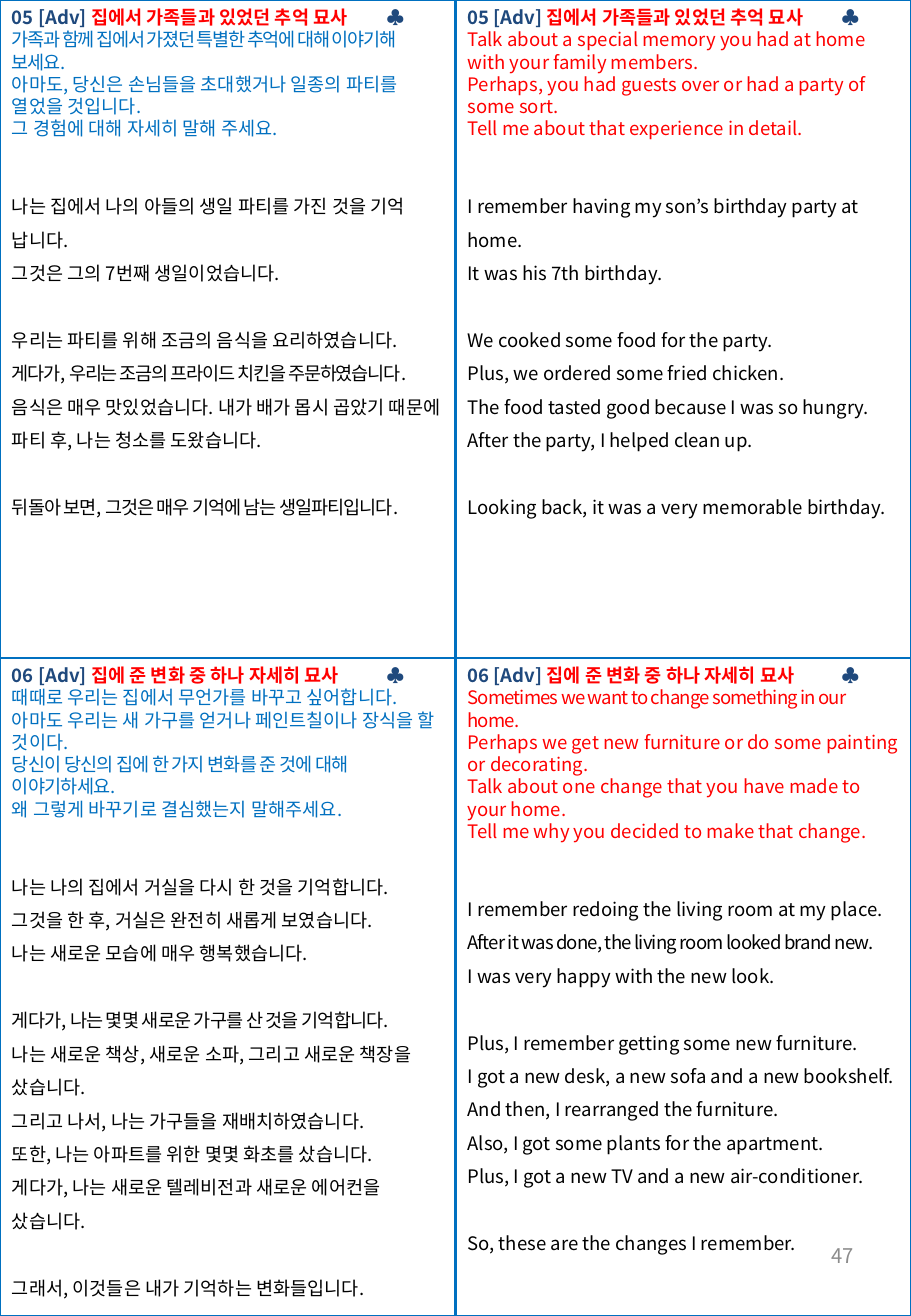
from lxml import etree
from pptx import Presentation
from pptx.dml.color import RGBColor
from pptx.enum.shapes import MSO_CONNECTOR, MSO_SHAPE
from pptx.enum.text import MSO_ANCHOR, MSO_AUTO_SIZE, PP_ALIGN
from pptx.oxml.ns import qn
from pptx.util import Pt

STRAIGHT = MSO_CONNECTOR.STRAIGHT
RECTANGLE = MSO_SHAPE.RECTANGLE
MIDDLE = MSO_ANCHOR.MIDDLE
GROW = MSO_AUTO_SIZE.SHAPE_TO_FIT_TEXT
RIGHT = PP_ALIGN.RIGHT

FONT = "Noto Sans CJK KR"
NAVY, BLUE, RED, BLACK, GREY = "1F497D", "0070C0", "FF0000", "000000", "8C8C8C"
WIDTH, HEIGHT = 540, 780
LINE = 13.2
CLUB_TAB = 222

MEMORY = ("05 [Adv] ", "집에서 가족들과 있었던 추억 묘사")
CHANGE = ("06 [Adv] ", "집에 준 변화 중 하나 자세히 묘사")

CARDS = [
    (MEMORY, BLUE, [
        ("가족과 함께 집에서 가졌던 특별한 추억에 대해 이야기해 보세요.", -0.8),
        "아마도, 당신은 손님들을 초대했거나 일종의 파티를 열었을 것입니다.",
        "그 경험에 대해 자세히 말해 주세요.",
    ], [
        ["나는 집에서 나의 아들의 생일 파티를 가진 것을 기억 납니다.",
         "그것은 그의 7번째 생일이었습니다."],
        ["우리는 파티를 위해 조금의 음식을 요리하였습니다.",
         ("게다가, 우리는 조금의 프라이드 치킨을 주문하였습니다.", -0.7),
         "음식은 매우 맛있었습니다. 내가 배가 몹시 곱았기 때문에",
         "파티 후, 나는 청소를 도왔습니다."],
        [("뒤돌아 보면, 그것은 매우 기억에 남는 생일파티입니다.", -0.6)],
    ]),
    (MEMORY, RED, [
        "Talk about a special memory you had at home with your family members.",
        "Perhaps, you had guests over or had a party of some sort.",
        "Tell me about that experience in detail.",
    ], [
        ["I remember having my son’s birthday party at home.",
         "It was his 7th birthday."],
        ["We cooked some food for the party.",
         "Plus, we ordered some fried chicken.",
         "The food tasted good because I was so hungry.",
         "After the party, I helped clean up."],
        ["Looking back, it was a very memorable birthday."],
    ]),
    (CHANGE, BLUE, [
        "때때로 우리는 집에서 무언가를 바꾸고 싶어합니다.",
        "아마도 우리는 새 가구를 얻거나 페인트칠이나 장식을 할 것이다.",
        ("당신이 당신의 집에 한 가지 변화를 준 것에 대해 이야기하세요.", -0.5),
        "왜 그렇게 바꾸기로 결심했는지 말해주세요.",
    ], [
        ["나는 나의 집에서 거실을 다시 한 것을 기억합니다.",
         "그것을 한 후, 거실은 완전히 새롭게 보였습니다.",
         "나는 새로운 모습에 매우 행복했습니다."],
        [("게다가, 나는 몇몇 새로운 가구를 산 것을 기억합니다.", -0.5),
         "나는 새로운 책상, 새로운 소파, 그리고 새로운 책장을 샀습니다.",
         "그리고 나서, 나는 가구들을 재배치하였습니다.",
         "또한, 나는 아파트를 위한 몇몇 화초를 샀습니다.",
         "게다가, 나는 새로운 텔레비전과 새로운 에어컨을 샀습니다."],
        ["그래서, 이것들은 내가 기억하는 변화들입니다."],
    ]),
    (CHANGE, RED, [
        ("Sometimes we want to change something in our home.", -0.5),
        "Perhaps we get new furniture or do some painting or decorating.",
        "Talk about one change that you have made to your home.",
        "Tell me why you decided to make that change.",
    ], [
        ["I remember redoing the living room at my place.",
         ("After it was done, the living room looked brand new.", -0.5),
         "I was very happy with the new look."],
        ["Plus, I remember getting some new furniture.",
         "I got a new desk, a new sofa and a new bookshelf.",
         "And then, I rearranged the furniture.",
         "Also, I got some plants for the apartment.",
         "Plus, I got a new TV and a new air-conditioner."],
        ["So, these are the changes I remember."],
    ]),
]


def rgb(color):
    return RGBColor.from_string(color)


def add_run(p, text, color, size=11, bold=False, spacing=0):
    r = p.add_run()
    r.text = text
    r.font.name = FONT
    r.font.size = Pt(size)
    r.font.bold = bold
    r.font.color.rgb = rgb(color)
    rPr = r._r.get_or_add_rPr()
    if spacing:
        rPr.set("spc", str(round(spacing * 100)))
    etree.SubElement(rPr, qn("a:ea"), typeface=FONT)


def add_sentence(tf, sentence, color):
    text, spacing = sentence if isinstance(sentence, tuple) else (sentence, 0)
    p = tf.add_paragraph()
    add_run(p, text, color, spacing=spacing)
    return p


def add_textbox(s, left, top, width, height):
    box = s.shapes.add_textbox(Pt(left), Pt(top), Pt(width), Pt(height))
    box.text_frame.word_wrap = True
    return box.text_frame


def add_heading(p, number, topic):
    tabs = etree.SubElement(p._p.get_or_add_pPr(), qn("a:tabLst"))
    etree.SubElement(tabs, qn("a:tab"), pos=str(Pt(CLUB_TAB)), algn="l")
    add_run(p, number, NAVY, bold=True)
    add_run(p, topic, RED, bold=True)
    add_run(p, "\t♣", NAVY, bold=True)


def add_card(s, left, top, width, height, card):
    heading, color, question, answer = card
    tf = add_textbox(s, left, top, width, height)
    tf.auto_size = GROW
    add_heading(tf.paragraphs[0], *heading)
    for sentence in question:
        add_sentence(tf, sentence, color)
    for i, group in enumerate(answer):
        for j, sentence in enumerate(group):
            p = add_sentence(tf, sentence, BLACK)
            p.line_spacing = 1.5
            if j == 0:
                p.space_before = Pt(LINE * (1.5 if i else 2))


def add_grid(s, left, top, width, height):
    sp = s.shapes.add_shape(RECTANGLE, Pt(left), Pt(top), Pt(width), Pt(height))
    sp.shadow.inherit = False
    sp.fill.background()
    sp.line.color.rgb = rgb(BLUE)
    sp.line.width = Pt(1.5)
    for start, end in ((1, 3), (0, 2)):
        line = s.shapes.add_connector(STRAIGHT, 0, 0, 0, 0)
        line.begin_connect(sp, start)
        line.end_connect(sp, end)
        line.line.color.rgb = rgb(BLUE)
        line.line.width = Pt(1.5)
        etree.SubElement(line._element.spPr, qn("a:effectLst"))


def add_page_number(s, left, top, width, height):
    tf = add_textbox(s, left, top, width, height)
    tf.vertical_anchor = MIDDLE
    p = tf.paragraphs[0]
    p.alignment = RIGHT
    add_run(p, "47", GREY, size=12)


def main():
    prs = Presentation()
    prs.slide_width, prs.slide_height = Pt(WIDTH), Pt(HEIGHT)
    s = prs.slides.add_slide(prs.slide_layouts[6])
    add_grid(s, 0, 0, WIDTH, HEIGHT)
    add_page_number(s, 387, 723, 126, 42)
    w, h = WIDTH / 2, HEIGHT / 2
    for i, card in enumerate(CARDS):
        row, col = divmod(i, 2)
        add_card(s, col * w, row * h, w, h, card)
    prs.save("out.pptx")


if __name__ == "__main__":
    main()
